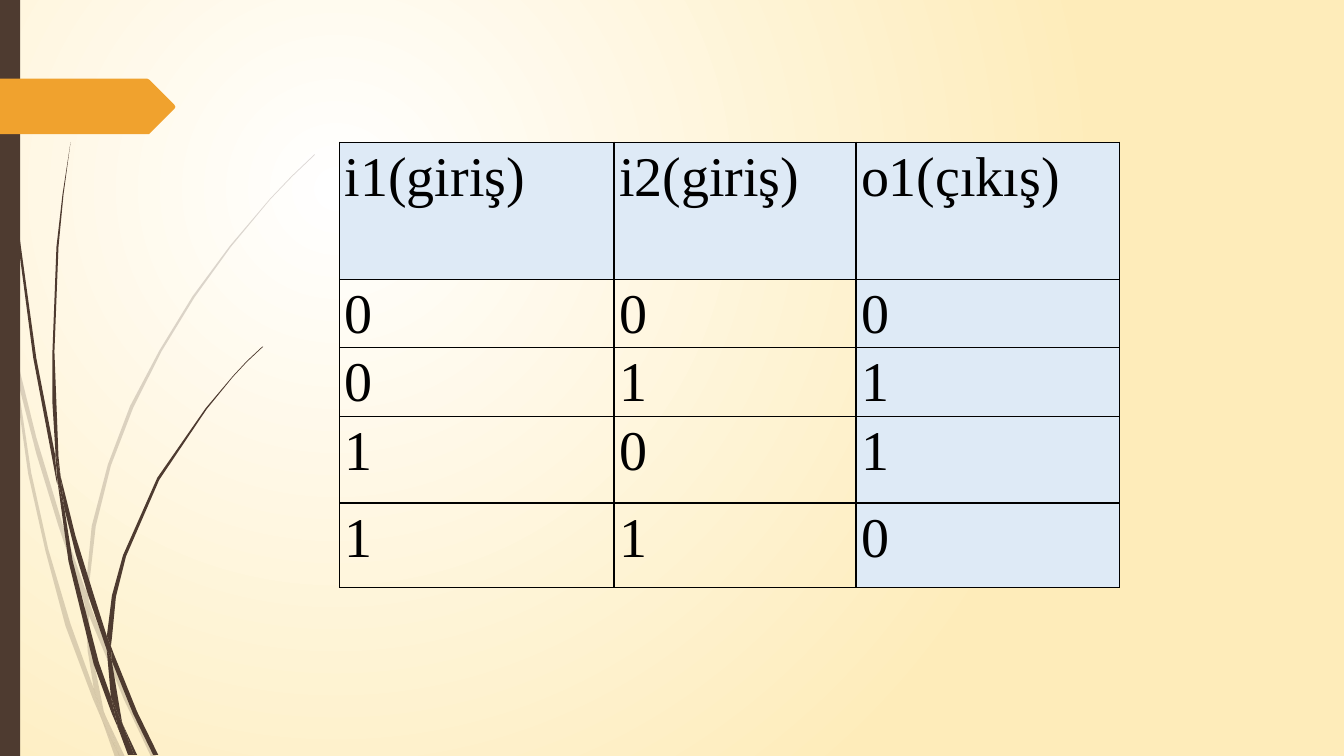
from dataclasses import dataclass

from lxml.etree import SubElement
from pptx import Presentation
from pptx.dml.color import RGBColor
from pptx.enum.shapes import MSO_SHAPE
from pptx.oxml.ns import qn
from pptx.util import Inches, Pt


@dataclass(frozen=True)
class Theme:
    bark: str = "4E3B30"
    orange: str = "F0A22E"
    cream: str = "FEECBA"
    white: str = "FFFFFF"
    pale_blue: str = "DEEAF6"
    black: str = "000000"
    font: str = "Times New Roman"
    text_size: int = 40
    border_width: int = 1


THEME = Theme()
SLIDE_WIDTH, SLIDE_HEIGHT = 13.33, 7.5

# Outlines of the grass pieces, in inches
FAINT_GRASS = [
    [(0.11, 3.5), (0.09, 3.22), (0, 2.82), (0, 2.99), (0.1, 3.44)],
    [(0.58, 5.22), (0.84, 5.99), (0.85, 5.86), (0.62, 5.2), (0.36, 4.34), (0.14, 3.45),
     (0.17, 3.76), (0.36, 4.5)],
    [(0.92, 6.07), (0.88, 5.96), (0.88, 6.1), (1.23, 6.94), (1.5, 7.51), (1.55, 7.51),
     (1.27, 6.92)],
    [(1.19, 7.51), (1.24, 7.51), (1.05, 7.11)],
    [(0.93, 6.83), (0.7, 6.19), (0.48, 5.45), (0.31, 4.69), (0.17, 3.76), (0.11, 3.5),
     (0.28, 4.7), (0.45, 5.46), (0.65, 6.21), (0.92, 6.93), (1.01, 7.14), (0.99, 7.07)],
    [(0.84, 5.99), (0.87, 6.46), (0.93, 6.83), (0.96, 6.92), (1.05, 7.11), (1.03, 7.06),
     (0.91, 6.46), (0.88, 6.1), (0.88, 6.08)],
    [(0.88, 5.84), (0.95, 5.22), (1.1, 4.62), (1.32, 4.05), (1.6, 3.49), (1.93, 2.95),
     (2.29, 2.45), (2.68, 1.98), (2.9, 1.75), (3.12, 1.54), (3.12, 1.53), (2.89, 1.75),
     (2.68, 1.97), (2.28, 2.44), (1.91, 2.94), (1.58, 3.48), (1.29, 4.03), (1.07, 4.61),
     (0.91, 5.22), (0.85, 5.84), (0.85, 5.86), (0.88, 5.96)],
    [(1.01, 7.14), (1.14, 7.51), (1.19, 7.51)],
    [(0.88, 6.08), (0.88, 6.1), (0.88, 5.96), (0.85, 5.86), (0.84, 5.99)],
    [(0.96, 6.92), (0.93, 6.83), (0.99, 7.07), (1.01, 7.14), (1.19, 7.51), (1.05, 7.11)],
]
DARK_GRASS = [
    [(0.07, 1.1), (0.17, 2.33), (0.33, 3.55), (0.56, 4.77), (0.57, 4.81), (0.55, 4.57),
     (0.55, 4.53), (0.36, 3.55), (0.19, 2.32), (0.08, 1.09), (0.05, 0.48), (0.04, 0),
     (0.03, 0), (0.04, 0.48)],
    [(0.88, 5.92), (1.06, 6.45), (1.06, 6.31), (0.93, 5.9), (0.75, 5.32), (0.6, 4.72),
     (0.64, 5.05), (0.75, 5.49)],
    [(1.13, 6.49), (1.1, 6.41), (1.11, 6.56), (1.32, 7.08), (1.52, 7.49), (1.57, 7.49),
     (1.36, 7.06)],
    [(1.1, 6.91), (0.98, 6.57), (0.72, 5.56), (0.64, 5.05), (0.57, 4.77), (0.68, 5.57),
     (0.93, 6.59), (1.11, 7.08), (1.17, 7.22), (1.16, 7.17)],
    [(0.6, 4.72), (0.58, 4.53), (0.54, 3.49), (0.58, 2.45), (0.63, 1.93), (0.7, 1.41),
     (0.62, 1.93), (0.56, 2.45), (0.52, 3.49), (0.52, 4), (0.55, 4.49)],
    [(1.33, 7.49), (1.36, 7.49), (1.22, 7.19)],
    [(0.57, 4.77), (0.64, 5.05), (0.6, 4.72), (0.55, 4.49), (0.55, 4.53)],
    [(1.11, 6.33), (1.15, 5.92), (1.25, 5.52), (1.58, 4.76), (2.05, 4.06), (2.31, 3.74),
     (2.45, 3.59), (2.61, 3.44), (2.6, 3.44), (2.45, 3.58), (2.31, 3.73), (2.04, 4.05),
     (1.56, 4.74), (1.22, 5.51), (1.11, 5.91), (1.06, 6.31), (1.1, 6.41)],
    [(1.17, 7.22), (1.27, 7.49), (1.31, 7.49)],
    [(1.06, 6.45), (1.1, 6.91), (1.16, 7.06), (1.22, 7.19), (1.21, 7.16), (1.11, 6.56),
     (1.09, 6.51)],
    [(1.06, 6.45), (1.09, 6.51), (1.11, 6.56), (1.1, 6.41), (1.06, 6.31)],
    [(1.16, 7.06), (1.1, 6.91), (1.16, 7.17), (1.17, 7.22), (1.3, 7.49), (1.33, 7.49),
     (1.22, 7.19)],
]
ARROW_OUTLINE = [
    (0, 0.78), (1.46, 0.78), (1.48, 0.79), (1.73, 1.04), (1.74, 1.06),
    (1.73, 1.08), (1.48, 1.33), (1.46, 1.33), (0, 1.33),
]

TRUTH_TABLE = [
    ["i1(giriş)", "i2(giriş)", "o1(çıkış)"],
    ["0", "0", "0"],
    ["0", "1", "1"],
    ["1", "0", "1"],
    ["1", "1", "0"],
]
COLUMN_WIDTHS = [2.72, 2.4, 2.61]
ROW_HEIGHTS = [1.36, 0.68, 0.68, 0.86, 0.84]


def apply_format(target, values):
    for name, value in values.items():
        setattr(target, name, value)


def paint(shape, color, opacity=100):
    shape.shadow.inherit = False
    shape.line.fill.background()
    shape.fill.solid()
    shape.fill.fore_color.rgb = RGBColor.from_string(color)
    if opacity < 100:
        color_element = shape.element.spPr.find(".//" + qn("a:srgbClr"))
        SubElement(color_element, qn("a:alpha"), val=str(opacity * 1000))


def set_background(slide):
    fill = slide.background.fill
    fill.gradient()
    for stop, color in zip(fill.gradient_stops, (THEME.white, THEME.cream)):
        stop.color.rgb = RGBColor.from_string(color)
    # Turn the linear gradient into a circular one
    gradient = slide.element.find(".//" + qn("a:gradFill"))
    gradient.remove(gradient.find(qn("a:lin")))
    circle = SubElement(gradient, qn("a:path"), path="circle")
    SubElement(circle, qn("a:fillToRect"), l="50000", t="50000", r="100000", b="100000")


def add_outline(slide, points, color, opacity=100):
    corners = [(Inches(x), Inches(y)) for x, y in points]
    builder = slide.shapes.build_freeform(*corners[0])
    builder.add_line_segments(corners[1:], close=True)
    paint(builder.convert_to_shape(), color, opacity)


def add_bar(slide):
    bar = slide.shapes.add_shape(
        MSO_SHAPE.RECTANGLE, 0, 0, Inches(0.2), Inches(SLIDE_HEIGHT))
    paint(bar, THEME.bark)


def add_borders(cell):
    properties = cell._tc.get_or_add_tcPr()
    for side in ("lnL", "lnR", "lnT", "lnB"):
        line = SubElement(properties, qn(f"a:{side}"), w=str(Pt(THEME.border_width)))
        solid = SubElement(line, qn("a:solidFill"))
        SubElement(solid, qn("a:srgbClr"), val=THEME.black)


def fill_cell(cell, text, shaded):
    apply_format(cell, {"margin_left": Inches(0.05), "margin_right": Inches(0.05),
                        "margin_top": 0, "margin_bottom": 0})
    paragraph = cell.text_frame.paragraphs[0]
    apply_format(paragraph, {"line_spacing": 1.07, "space_after": Pt(8)})
    run = paragraph.add_run()
    run.text = text
    apply_format(run.font, {"name": THEME.font, "size": Pt(THEME.text_size)})
    run.font.color.rgb = RGBColor.from_string(THEME.black)
    add_borders(cell)
    if shaded:
        cell.fill.solid()
        cell.fill.fore_color.rgb = RGBColor.from_string(THEME.pale_blue)
    else:
        cell.fill.background()


def add_truth_table(slide):
    table = slide.shapes.add_table(
        len(ROW_HEIGHTS), len(COLUMN_WIDTHS), Inches(3.37), Inches(1.41),
        Inches(sum(COLUMN_WIDTHS)), Inches(sum(ROW_HEIGHTS))).table
    apply_format(table, {"first_row": False, "horz_banding": False})
    for column, width in zip(table.columns, COLUMN_WIDTHS):
        column.width = Inches(width)
    for row, height in zip(table.rows, ROW_HEIGHTS):
        row.height = Inches(height)
    output_column = len(COLUMN_WIDTHS) - 1
    for row_index, texts in enumerate(TRUTH_TABLE):
        for column_index, text in enumerate(texts):
            shaded = row_index == 0 or column_index == output_column
            fill_cell(table.cell(row_index, column_index), text, shaded)


def main():
    presentation = Presentation()
    apply_format(presentation, {"slide_width": Inches(SLIDE_WIDTH),
                                "slide_height": Inches(SLIDE_HEIGHT)})
    slide = presentation.slides.add_slide(presentation.slide_layouts[6])

    # Backdrop
    set_background(slide)
    for pieces, opacity in ((FAINT_GRASS, 20), (DARK_GRASS, 100)):
        for points in pieces:
            add_outline(slide, points, THEME.bark, opacity)
    add_bar(slide)
    add_outline(slide, ARROW_OUTLINE, THEME.orange)

    # Content
    add_truth_table(slide)
    presentation.save("out.pptx")


if __name__ == "__main__":
    main()
